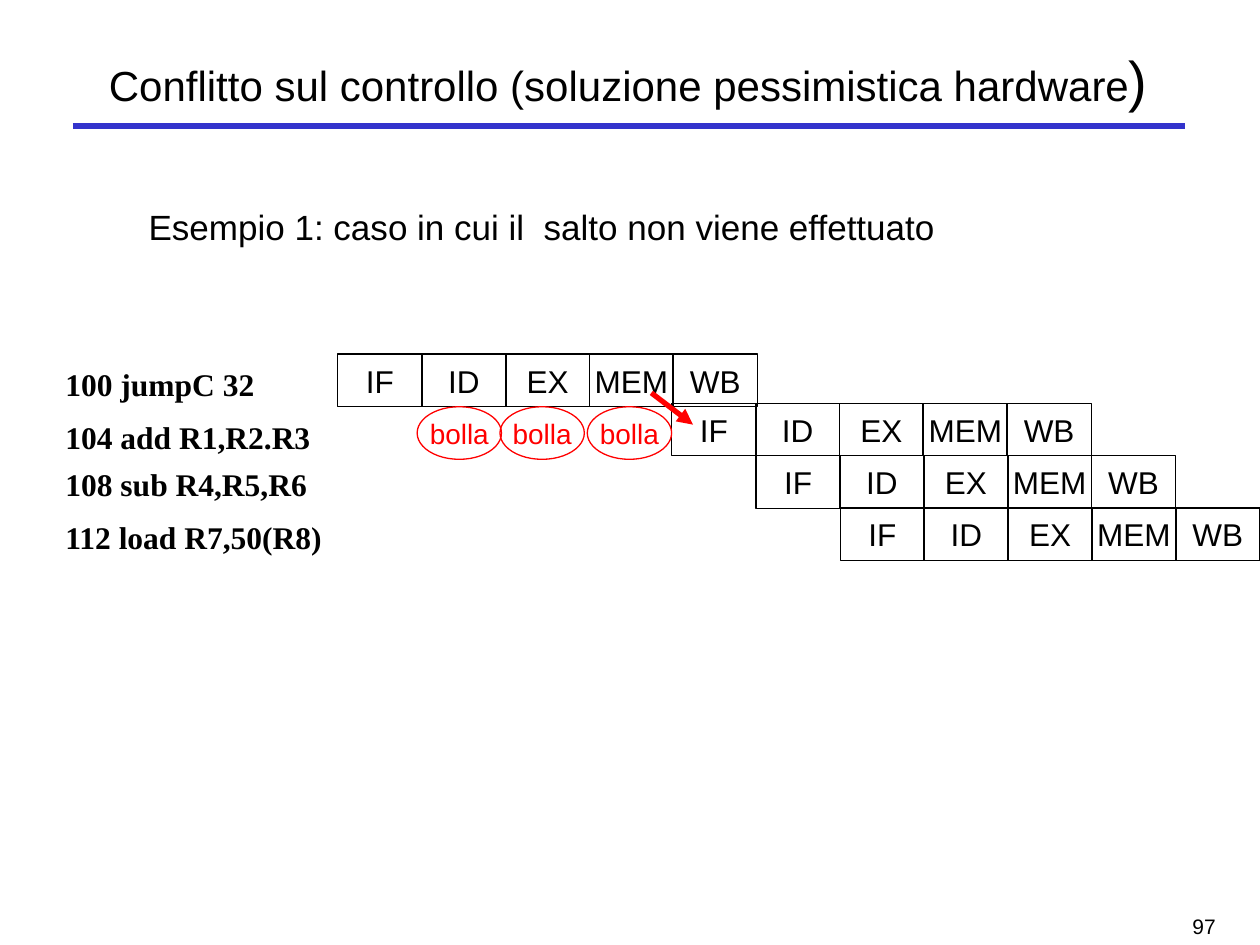
from pptx import Presentation
from pptx.dml.color import RGBColor
from pptx.enum.shapes import MSO_CONNECTOR as Link, MSO_SHAPE as Form
from pptx.enum.text import MSO_ANCHOR as Anchor, MSO_AUTO_SIZE as Fit, PP_ALIGN as Align
from pptx.oxml.ns import qn
from pptx.util import Cm, Pt
from lxml.etree import SubElement as sub

BLACK = RGBColor(0, 0, 0)
BLUE = RGBColor(0x33, 0x33, 0xCC)
RED = RGBColor(0xFF, 0, 0)

STAGES = ["IF", "ID", "EX", "MEM", "WB"]
ROWS = [
    ("100 jumpC 32", 7.24, 6.81, 7.14),
    ("104 add R1,R2.R3", 8.31, 13.54, 8.13),
    ("108 sub R4,R5,R6", 9.25, 15.24, 9.19),
    ("112 load R7,50(R8)", 10.31, 16.94, 10.24),
]
STEP, WIDE, HIGH = 1.69, 1.7, 1.06
STALLS = [8.41, 10.08, 11.84]
STALL_TOP = 8.2


def put(obj, vals):
    """Set each named value on an object."""
    for name, val in vals.items():
        setattr(obj, name, val)


def place(shape, left, top, width, height):
    """Move and size a shape, in centimetres."""
    put(shape, {"left": Cm(left), "top": Cm(top),
                "width": Cm(width), "height": Cm(height)})


def write(par, text, size, color=BLACK, font="Arial", bold=False):
    """Add a formatted run to a paragraph."""
    run = par.add_run()
    run.text = text
    put(run.font, {"size": Pt(size), "name": font, "bold": bold})
    run.font.color.rgb = color


def label(slide, text, box, size, frame, align=Align.LEFT, **style):
    """Add a text box with one line of text."""
    shape = slide.shapes.add_textbox(*map(Cm, box))
    put(shape.text_frame, frame)
    par = shape.text_frame.paragraphs[0]
    par.alignment = align
    write(par, text, size, **style)


def cell(slide, form, text, left, top, size, color):
    """Add an outlined shape with centred text."""
    shape = slide.shapes.add_shape(form, *map(Cm, (left, top, WIDE, HIGH)))
    shape.shadow.inherit = False
    shape.fill.background()
    shape.line.color.rgb = color
    shape.line.width = Pt(0.75)
    put(shape.text_frame, {
        "margin_left": 0, "margin_right": 0, "margin_top": 0, "margin_bottom": 0,
        "word_wrap": False, "vertical_anchor": Anchor.MIDDLE})
    par = shape.text_frame.paragraphs[0]
    par.alignment = Align.CENTER
    write(par, text, size, color)


def stroke(slide, ends, color, width, arrow=False):
    """Add a straight line, with an arrowhead on request."""
    line = slide.shapes.add_connector(Link.STRAIGHT, *map(Cm, ends))
    line.line.color.rgb = color
    line.line.width = Pt(width)
    if arrow:
        sub(line.line._get_or_add_ln(), qn("a:tailEnd"), type="triangle")
    sub(line._element.spPr, qn("a:effectLst"))


def title(slide):
    """Fill the title placeholder."""
    shape = slide.shapes.title
    place(shape, 1.55, 0.64, 22.23, 1.9)
    put(shape.text_frame, {"vertical_anchor": Anchor.MIDDLE,
                           "auto_size": Fit.NONE, "word_wrap": True})
    par = shape.text_frame.paragraphs[0]
    par.alignment = Align.CENTER
    write(par, "Conflitto sul controllo (soluzione pessimistica hardware", 24)
    write(par, ")", 32)


def body(slide):
    """Fill the body placeholder."""
    shape = slide.placeholders[1]
    place(shape, 1.47, 4.02, 22.23, 8.7)
    put(shape.text_frame, {"auto_size": Fit.NONE, "word_wrap": True})
    par = shape.text_frame.paragraphs[0]
    put(par, {"level": 1, "space_before": Pt(0)})
    props = par._p.get_or_add_pPr()
    props.set("marL", str(Cm(1.27)))
    props.set("indent", "0")
    sub(props, qn("a:buNone"))
    write(par, "Esempio 1: caso in cui il  salto non viene effettuato", 20)


def main():
    """Build and save the slide."""
    deck = Presentation()
    put(deck, {"slide_width": Cm(25.4), "slide_height": Cm(19.05)})
    slide = deck.slides.add_slide(deck.slide_layouts[1])
    stroke(slide, (1.47, 2.54, 23.88, 2.54), BLUE, 3.75)
    title(slide)
    body(slide)
    for code, high, left, top in ROWS:
        label(slide, code, (1.07, high, 5.74, 1.02), 18, {"word_wrap": False},
              font="Times New Roman", bold=True)
        for col, stage in enumerate(STAGES):
            cell(slide, Form.RECTANGLE, stage, left + col * STEP, top, 18, BLACK)
    for left in STALLS:
        cell(slide, Form.OVAL, "bolla", left, STALL_TOP, 16, RED)
    stroke(slide, (13.13, 7.92, 13.97, 8.56), RED, 3, arrow=True)
    label(slide, "97", (19.48, 17.78, 5.28, 1.27), 12,
          {"word_wrap": True, "vertical_anchor": Anchor.BOTTOM}, Align.RIGHT)
    deck.save("out.pptx")


if __name__ == "__main__":
    main()
